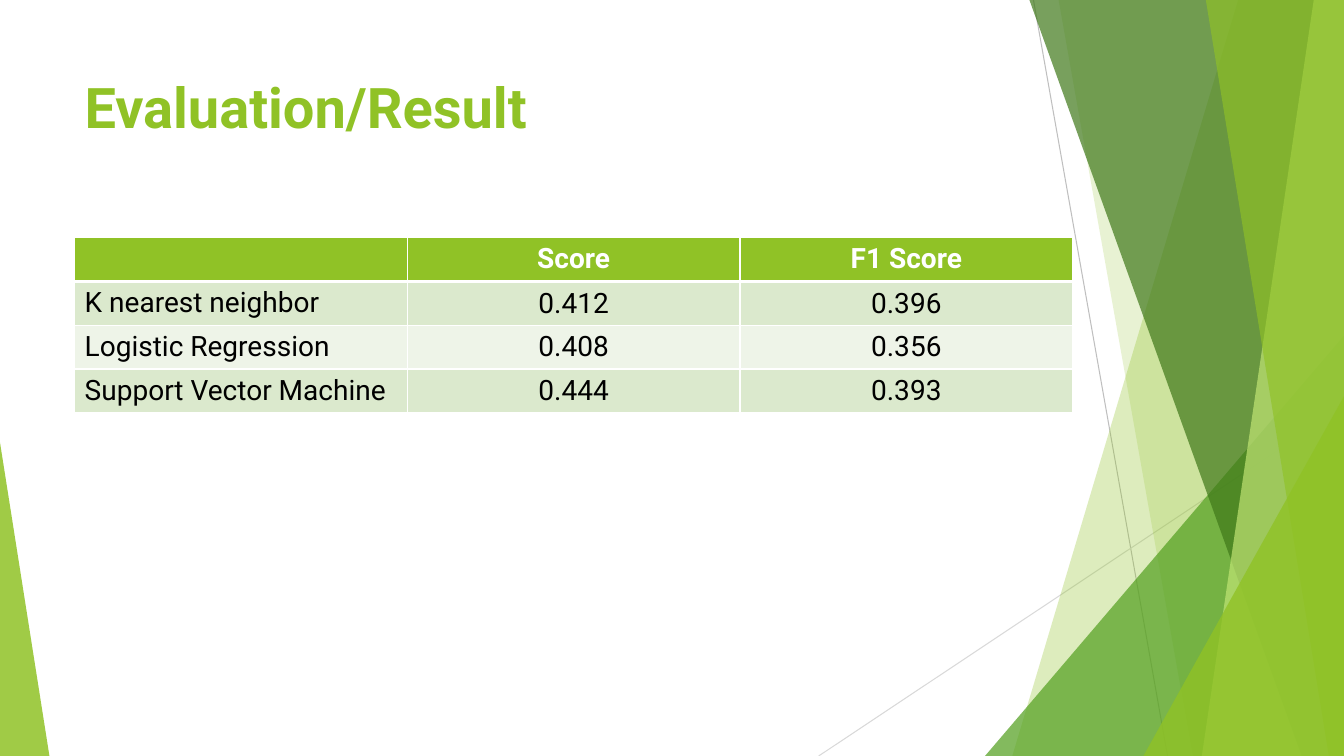
"""Build the Evaluation/Result slide with its faceted green backdrop and score table."""
from dataclasses import dataclass

from lxml.etree import SubElement
from pptx import Presentation
from pptx.dml.color import RGBColor as Rgb
from pptx.enum.shapes import MSO_CONNECTOR as Connector, MSO_SHAPE as Preset
from pptx.enum.text import MSO_ANCHOR as Anchor, PP_ALIGN as Align
from pptx.oxml import parse_xml
from pptx.oxml.ns import nsdecls, qn
from pptx.util import Inches, Pt

WIDTH, HEIGHT = 13.33, 7.5
FONT = "Roboto"
COLORS = {
    "lime": "90C226",
    "green": "54A021",
    "forest": "3F7819",
    "pale": "C0E474",
    "line": "BFBFBF",
    "light line": "D9D9D9",
    "band": "DBE9CD",
    "light band": "EEF4E8",
    "white": "FFFFFF",
    "black": "000000",
}


@dataclass
class Ray:
    start: tuple[float, float]
    end: tuple[float, float]
    color: str


@dataclass
class Facet:
    top_x: float
    bottom_x: float
    color: str
    opacity: int


@dataclass
class Wedge:
    left: float
    top: float
    width: float
    apex: float
    color: str
    opacity: int


RAYS = [
    Ray((10.25, 0), (11.58, HEIGHT), "line"),
    Ray((WIDTH, 4.03), (8.12, HEIGHT), "light line"),
]
BACKDROP = [
    Facet(12.28, 10.04, "lime", 30),
    Facet(10.5, 11.83, "lime", 20),
    Wedge(9.77, 3.33, 3.56, 1, "green", 72),
    Facet(10.21, 12.91, "forest", 70),
    Facet(13.03, 11.92, "pale", 70),
    Facet(11.96, 13.18, "lime", 65),
    Wedge(11.34, 3.93, 1.99, 1, "lime", 80),
    Wedge(0, 4.39, 0.49, 0, "lime", 85),
]
SCORES = [
    ("", "Score", "F1 Score"),
    ("K nearest neighbor", "0.412", "0.396"),
    ("Logistic Regression", "0.408", "0.356"),
    ("Support Vector Machine", "0.444", "0.393"),
]


def rgb(name: str) -> Rgb:
    return Rgb.from_string(COLORS[name])


def style_font(font, size: int, color: str, bold: bool) -> None:
    font.name, font.size, font.bold = FONT, Pt(size), bold
    font.color.rgb = rgb(color)


def draw_ray(page, ray: Ray) -> None:
    ends = [Inches(value) for value in (*ray.start, *ray.end)]
    line = page.shapes.add_connector(Connector.STRAIGHT, *ends)
    line.line.color.rgb = rgb(ray.color)
    line.line.width = Pt(0.75)
    SubElement(line._element.spPr, qn("a:effectLst"))


def add_facet(page, facet: Facet):
    corners = [(WIDTH, 0), (WIDTH, HEIGHT), (facet.bottom_x, HEIGHT)]
    builder = page.shapes.build_freeform(Inches(facet.top_x), 0)
    builder.add_line_segments([(Inches(x), Inches(y)) for x, y in corners])
    return builder.convert_to_shape()


def add_wedge(page, wedge: Wedge):
    shape = page.shapes.add_shape(
        Preset.ISOSCELES_TRIANGLE, Inches(wedge.left), Inches(wedge.top),
        Inches(wedge.width), Inches(HEIGHT - wedge.top))
    shape.adjustments[0] = wedge.apex
    return shape


def draw_pane(page, pane: Facet | Wedge) -> None:
    shape = add_facet(page, pane) if isinstance(pane, Facet) else add_wedge(page, pane)
    shape.shadow.inherit = False
    shape.line.fill.background()
    shape.fill.solid()
    shape.fill.fore_color.rgb = rgb(pane.color)
    color = shape._element.spPr.find(qn("a:solidFill"))[0]
    SubElement(color, qn("a:alpha"), val=str(pane.opacity * 1000))


def draw_title(page, text: str) -> None:
    box = page.shapes.add_textbox(Inches(0.74), Inches(0.67), Inches(9.4), Inches(1.44))
    box.text_frame.word_wrap = True
    para = box.text_frame.paragraphs[0]
    para.text = text
    style_font(para.font, 40, "lime", True)


def set_borders(cell, top: int, bottom: int) -> None:
    widths = {"lnL": 1, "lnR": 1, "lnT": top, "lnB": bottom}
    for index, (tag, width) in enumerate(widths.items()):
        border = parse_xml(
            f'<a:{tag} {nsdecls("a")} w="{Pt(width)}"><a:solidFill>'
            f'<a:srgbClr val="{COLORS["white"]}"/></a:solidFill></a:{tag}>')
        cell._tc.get_or_add_tcPr().insert(index, border)


def fill_cell(cell, text: str, row: int, column: int) -> None:
    header = row == 0
    fill = "lime" if header else "band" if row % 2 else "light band"
    cell.fill.solid()
    cell.fill.fore_color.rgb = rgb(fill)
    set_borders(cell, 3 if row == 1 else 1, 3 if header else 1)
    if column and not header:
        cell.vertical_anchor = Anchor.MIDDLE
    para = cell.text_frame.paragraphs[0]
    para.text = text
    para.alignment = Align.CENTER if column else Align.LEFT
    style_font(para.font, 20, "white" if header else "black", header)


def draw_table(page, rows: list[tuple[str, ...]]) -> None:
    row_count, column_count = len(rows), len(rows[0])
    table = page.shapes.add_table(
        row_count, column_count, Inches(0.74), Inches(2.36),
        Inches(3.3 * column_count), Inches(0.43 * row_count)).table
    for row, texts in enumerate(rows):
        for column, text in enumerate(texts):
            fill_cell(table.cell(row, column), text, row, column)


def main() -> None:
    deck = Presentation()
    deck.slide_width, deck.slide_height = Inches(WIDTH), Inches(HEIGHT)
    page = deck.slides.add_slide(deck.slide_layouts[6])
    for ray in RAYS:
        draw_ray(page, ray)
    for pane in BACKDROP:
        draw_pane(page, pane)
    draw_title(page, "Evaluation/Result")
    draw_table(page, SCORES)
    deck.save("out.pptx")


if __name__ == "__main__":
    main()
